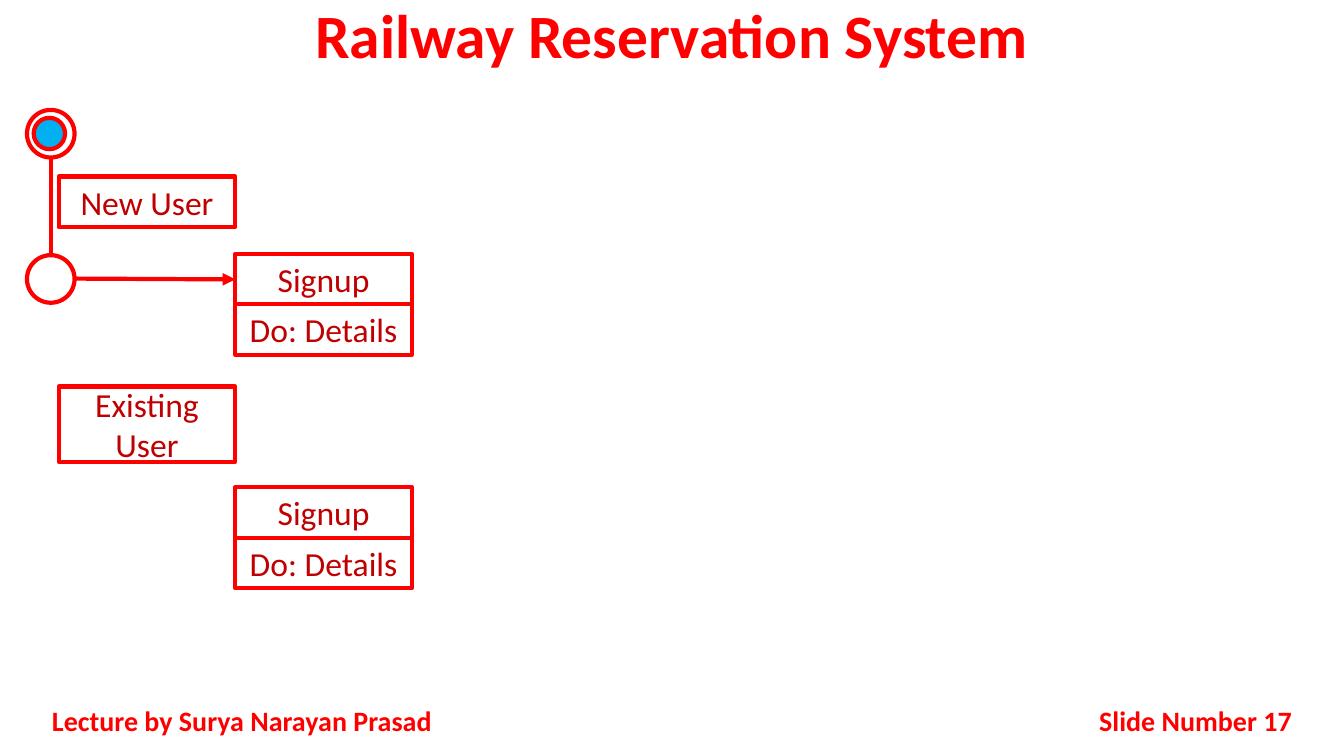
"""Build the railway reservation state diagram slide."""
import lxml.etree
import pptx
import pptx.util
import pptx.dml.color
import pptx.enum.shapes
import pptx.enum.text
import pptx.oxml.ns

Cm = pptx.util.Cm
Pt = pptx.util.Pt
qn = pptx.oxml.ns.qn
SHAPE = pptx.enum.shapes.MSO_SHAPE
ALIGN = pptx.enum.text.PP_ALIGN
ANCHOR = pptx.enum.text.MSO_ANCHOR
RED = pptx.dml.color.RGBColor(0xFF, 0x00, 0x00)
DARK_RED = pptx.dml.color.RGBColor(0xC0, 0x00, 0x00)
BLUE = pptx.dml.color.RGBColor(0x00, 0xB0, 0xF0)


def add_text(tf, text, size, color, align, bold=False):
    tf.word_wrap = True
    p = tf.paragraphs[0]
    p.alignment = align
    r = p.add_run()
    r.text = text
    r.font.name = "Calibri"
    r.font.size = Pt(size)
    r.font.bold = bold
    r.font.color.rgb = color
    return p


def add_outlined(kind, left, top, width, height, fill=None):
    sp = s.shapes.add_shape(kind, Cm(left), Cm(top), Cm(width), Cm(height))
    sp.shadow.inherit = False
    sp.line.color.rgb = RED
    sp.line.width = Pt(3)
    if fill is None:
        sp.fill.background()
    else:
        sp.fill.solid()
        sp.fill.fore_color.rgb = fill
    return sp


prs = pptx.Presentation()
prs.slide_width = Cm(33.87)
prs.slide_height = Cm(19.05)
s = prs.slides.add_slide(prs.slide_layouts[5])

title = s.shapes.title
title.left, title.top, title.width, title.height = Cm(0), Cm(0), prs.slide_width, Cm(2.12)
title.text_frame.vertical_anchor = ANCHOR.TOP
p = add_text(title.text_frame, "Railway Reservation System", 44, RED, ALIGN.CENTER, True)
p.line_spacing = 0.9

footers = [
    ("Lecture by Surya Narayan Prasad", 1.06, 10.58, ALIGN.JUSTIFY),
    ("Slide Number 17", 25.82, 6.99, ALIGN.RIGHT),
]
for text, left, width, align in footers:
    tb = s.shapes.add_textbox(Cm(left), Cm(17.65), Cm(width), Cm(1.02))
    tb.text_frame.vertical_anchor = ANCHOR.MIDDLE
    add_text(tb.text_frame, text, 20, RED, align, True)

add_outlined(SHAPE.OVAL, 0.85, 2.97, 0.79, 0.79, BLUE)
for top in (2.77, 6.43):
    add_outlined(SHAPE.OVAL, 0.68, top, 1.2, 1.2)

box_w, box_h = 4.45, 1.27
user_left, state_left = 1.48, 5.93
boxes = [
    ("New User", user_left, 4.45, box_h),
    ("Existing User", user_left, 9.74, 1.9),
]
for top in (6.4, 12.28):
    boxes += [
        ("Signup", state_left, top, box_h),
        ("Do: Details", state_left, top + box_h, box_h),
    ]
for text, left, top, height in boxes:
    sp = add_outlined(SHAPE.RECTANGLE, left, top, box_w, height)
    sp.text_frame.vertical_anchor = ANCHOR.MIDDLE
    add_text(sp.text_frame, text, 24, DARK_RED, ALIGN.CENTER)

links = [
    (1.28, 3.97, 1.28, 6.43, False),
    (1.88, 7.02, state_left, 7.04, True),
]
for x1, y1, x2, y2, has_arrow in links:
    cxn = s.shapes.add_connector(
        pptx.enum.shapes.MSO_CONNECTOR.STRAIGHT, Cm(x1), Cm(y1), Cm(x2), Cm(y2))
    cxn.line.color.rgb = RED
    cxn.line.width = Pt(3)
    spPr = cxn._element.spPr
    if has_arrow:
        lxml.etree.SubElement(spPr.find(qn("a:ln")), qn("a:tailEnd"), type="triangle")
    lxml.etree.SubElement(spPr, qn("a:effectLst"))

prs.save("out.pptx")
